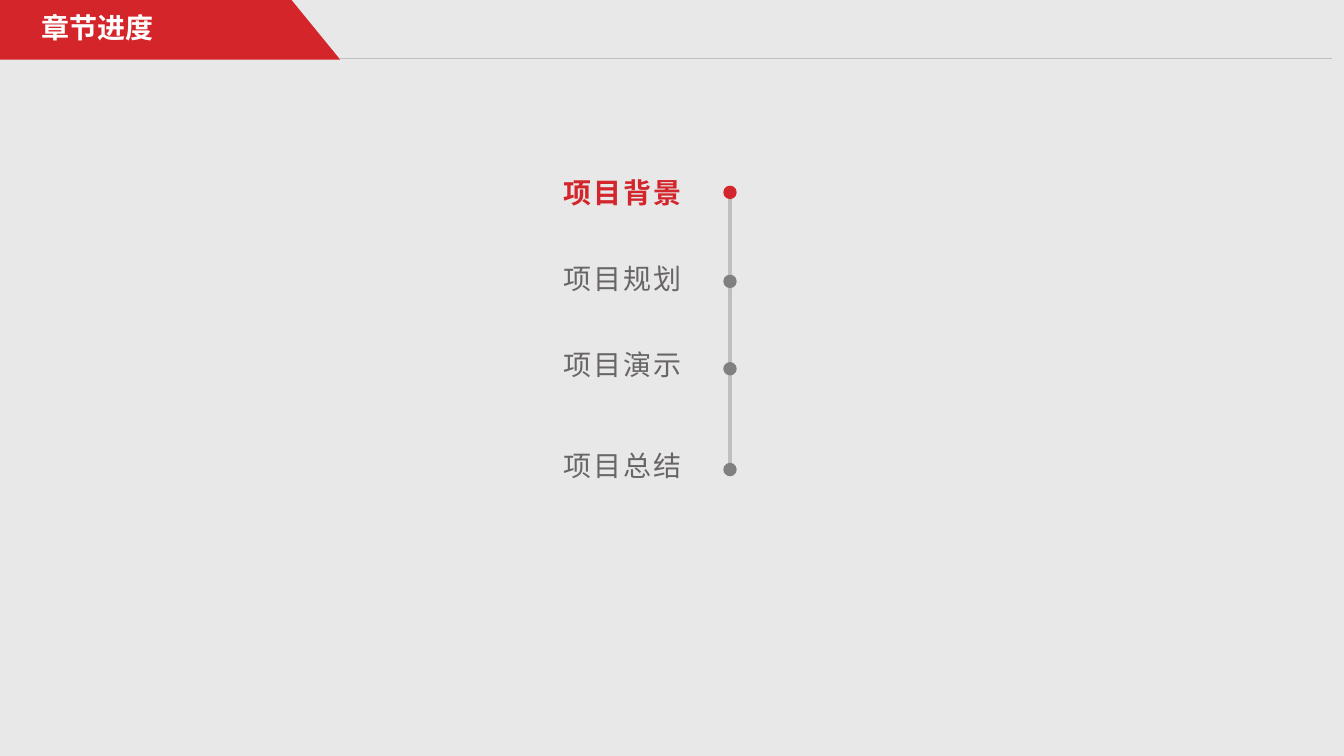
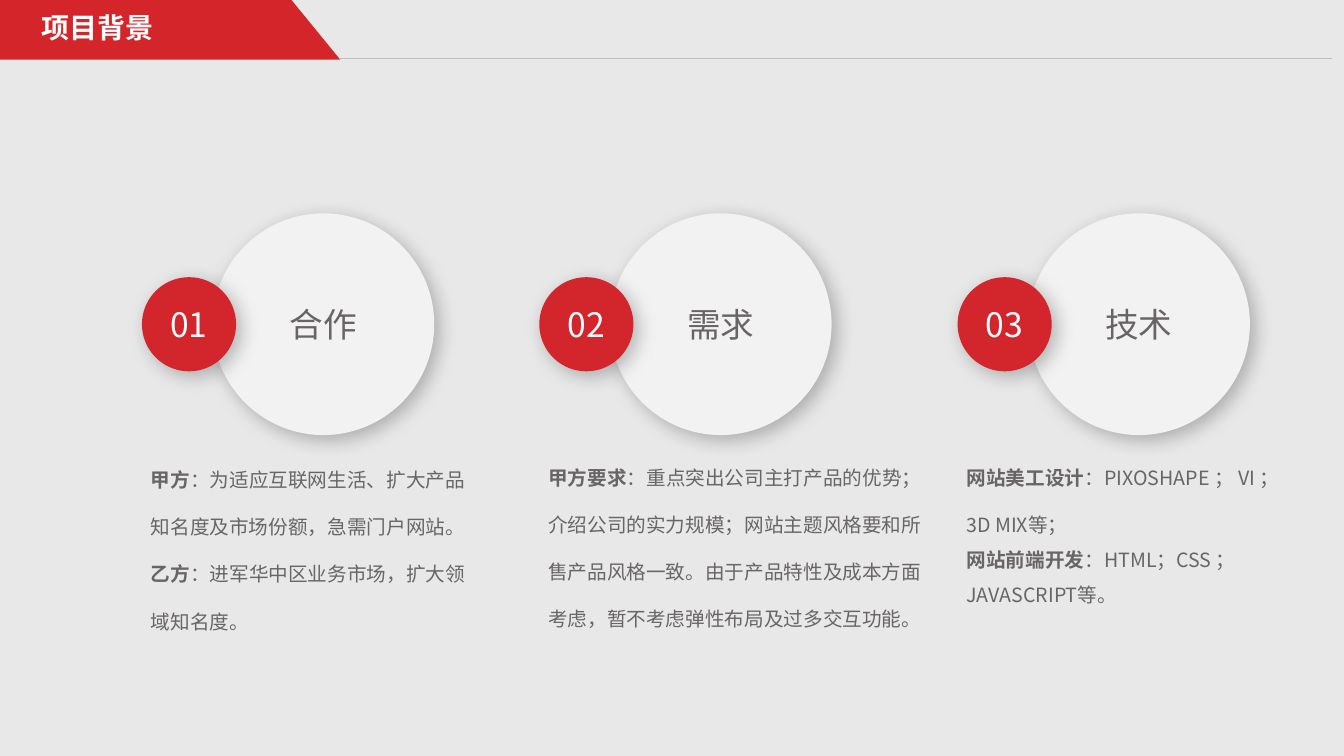
from dataclasses import dataclass

from lxml.etree import SubElement
from pptx import Presentation
from pptx.dml.color import RGBColor
from pptx.enum.lang import MSO_LANGUAGE_ID as Language
from pptx.enum.shapes import MSO_CONNECTOR as Connector, MSO_SHAPE as Preset
from pptx.enum.text import MSO_ANCHOR as Anchor, PP_ALIGN as Align
from pptx.oxml.ns import qn
from pptx.util import Emu, Inches, Pt

COLUMNS, ROWS = 160, 90


@dataclass(frozen=True)
class Theme:
    paper: str = "E8E8E8"
    band: str = "D3252A"
    accent: str = "D3252C"
    disc: str = "F2F2F2"
    ink: str = "696566"
    white: str = "FFFFFF"
    rule: str = "BFBFBF"
    muted: str = "808080"
    font: str = "Noto Sans CJK SC"
    label_font: str = "Arial"
    title_size: int = 20
    disc_size: int = 24
    body_size: int = 14


class Builder:
    """Draws on the current page; positions count columns and rows of the grid."""

    def __init__(self, theme):
        self.theme = theme
        self.deck = Presentation()
        self.deck.slide_width, self.deck.slide_height = Inches(13.333), Inches(7.5)
        self.unit = self.deck.slide_height / ROWS
        self.page = None
        paper = self.deck.slide_master.background.fill
        paper.solid()
        paper.fore_color.rgb = RGBColor.from_string(theme.paper)

    def grid(self, *counts):
        return [Emu(round(count * self.unit)) for count in counts]

    def new_page(self, title):
        theme = self.theme
        self.page = self.deck.slides.add_slide(self.deck.slide_layouts[6])
        self.outline([(0, 0), (34.7, 0), (40.5, 7.1), (0, 7.1)], theme.band)
        self.line((40.4, 6.9), (158.6, 6.9), 0.25)
        box = self.text_box(3.8, 0.7, 30.7, 5.3)
        self.span(box.text_frame.paragraphs[0], title, theme.title_size,
                  theme.white, bold=True)

    def paint(self, shape, color):
        shape.fill.solid()
        shape.fill.fore_color.rgb = RGBColor.from_string(color)
        shape.line.fill.background()
        shape.shadow.inherit = False

    def outline(self, points, color):
        start, *others = [self.grid(*point) for point in points]
        builder = self.page.shapes.build_freeform(*start, scale=1.0)
        builder.add_line_segments(others, close=True)
        self.paint(builder.convert_to_shape(), color)

    def line(self, start, end, width):
        line = self.page.shapes.add_connector(
            Connector.STRAIGHT, *self.grid(*start, *end))
        line.line.color.rgb = RGBColor.from_string(self.theme.rule)
        line.line.width = Pt(width)
        SubElement(line._element.spPr, qn("a:effectLst"))

    def circle(self, center, middle, size, color):
        shape = self.page.shapes.add_shape(Preset.OVAL, *self.grid(
            center - size / 2, middle - size / 2, size, size))
        self.paint(shape, color)
        return shape

    def shadow(self, shape, opacity):
        effects = shape._element.spPr.find(qn("a:effectLst"))
        outer = SubElement(effects, qn("a:outerShdw"), blurRad=str(Pt(14)),
                           dist=str(Pt(5)), dir=str(45 * 60000), rotWithShape="0")
        color = SubElement(outer, qn("a:srgbClr"), val="000000")
        SubElement(color, qn("a:alpha"), val=str(opacity * 1000))

    def disc(self, center, middle, size, color, text, text_color, opacity):
        """Add a shadowed circle with centred text."""
        shape = self.circle(center, middle, size, color)
        self.shadow(shape, opacity)
        shape.text_frame.vertical_anchor = Anchor.MIDDLE
        para = shape.text_frame.paragraphs[0]
        para.alignment = Align.CENTER
        self.span(para, text, self.theme.disc_size, text_color)

    def text_box(self, left, top, width, height, wrap=True):
        box = self.page.shapes.add_textbox(*self.grid(left, top, width, height))
        box.text_frame.word_wrap = wrap
        return box

    def label(self, left, top, text, color, bold):
        box = self.text_box(left, top, 16.9, 5.3, wrap=False)
        self.span(box.text_frame.paragraphs[0], text, self.theme.title_size,
                  color, bold, self.theme.label_font, spacing=1.5)

    def body(self, left, top, width, entries):
        """Add paragraphs given as (bold lead, plain rest, line spacing)."""
        frame = self.text_box(left, top, width, 25).text_frame
        frame.margin_left = frame.margin_right = Inches(0.13)
        frame.margin_top = frame.margin_bottom = Inches(0.07)
        for index, (lead, rest, spacing) in enumerate(entries):
            para = frame.add_paragraph() if index else frame.paragraphs[0]
            para.line_spacing = float(spacing)
            for text, bold in ((lead, True), (rest, False)):
                self.span(para, text, self.theme.body_size, self.theme.ink, bold)

    def span(self, para, text, size, color, bold=False, font=None, spacing=0):
        span = para.add_run()
        span.text = text
        span.font.size, span.font.bold = Pt(size), bold
        span.font.color.rgb = RGBColor.from_string(color)
        span.font.name = font or self.theme.font
        span.font.language_id = Language.SIMPLIFIED_CHINESE
        properties = span._r.get_or_add_rPr()
        SubElement(properties, qn("a:ea"), typeface=self.theme.font)
        if spacing:
            properties.set("spc", str(round(spacing * 100)))


# Chapter, row of its label, middle row of its dot
CHAPTERS = [
    ("项目背景", 20.3, 22.9),
    ("项目规划", 30.5, 33.5),
    ("项目演示", 40.8, 43.9),
    ("项目总结", 52.8, 55.9),
]

# Topic, badge centre, top row and width of the text, paragraphs
TOPICS = [
    ("合作", 22.5, 52.1, 41.5, [
        ("甲方", "：为适应互联网生活、扩大产品知名度及市场份额，急需门户网站。", 2),
        ("乙方", "：进军华中区业务市场，扩大领域知名度。", 2),
    ]),
    ("需求", 69.8, 51.8, 49.8, [
        ("甲方要求", "：重点突出公司主打产品的优势；介绍公司的实力规模；"
         "网站主题风格要和所售产品风格一致。由于产品特性及成本方面考虑，"
         "暂不考虑弹性布局及过多交互功能。", 2),
    ]),
    ("技术", 119.6, 51.8, 41.5, [
        ("网站美工设计", "：PIXOSHAPE ； VI ；3D MIX等；", 2),
        ("网站前端开发", "：HTML；CSS ；JAVASCRIPT等。", 1.5),
    ]),
]


def draw_progress(builder, current):
    theme, axis = builder.theme, 86.9
    builder.new_page("章节进度")
    builder.line((axis, CHAPTERS[0][2]), (axis, CHAPTERS[-1][2]), 2.25)
    for index, (chapter, label_row, dot_row) in enumerate(CHAPTERS):
        active = index == current
        builder.label(65.9, label_row, chapter,
                      theme.accent if active else theme.ink, active)
        builder.circle(axis, dot_row, 1.6, theme.accent if active else theme.muted)


def draw_background(builder):
    theme, middle = builder.theme, 38.6
    builder.new_page(CHAPTERS[0][0])
    for number, (topic, center, top, width, entries) in enumerate(TOPICS, 1):
        builder.disc(center + 16, middle, 26.4, theme.disc, topic, theme.ink, 25)
        builder.disc(center, middle, 11.2, theme.accent, f"{number:02}",
                     theme.white, 25)
        builder.body(center - 6.1, top, width, entries)


def main():
    builder = Builder(Theme())
    draw_progress(builder, current=0)
    draw_background(builder)
    builder.deck.save("out.pptx")


if __name__ == "__main__":
    main()
